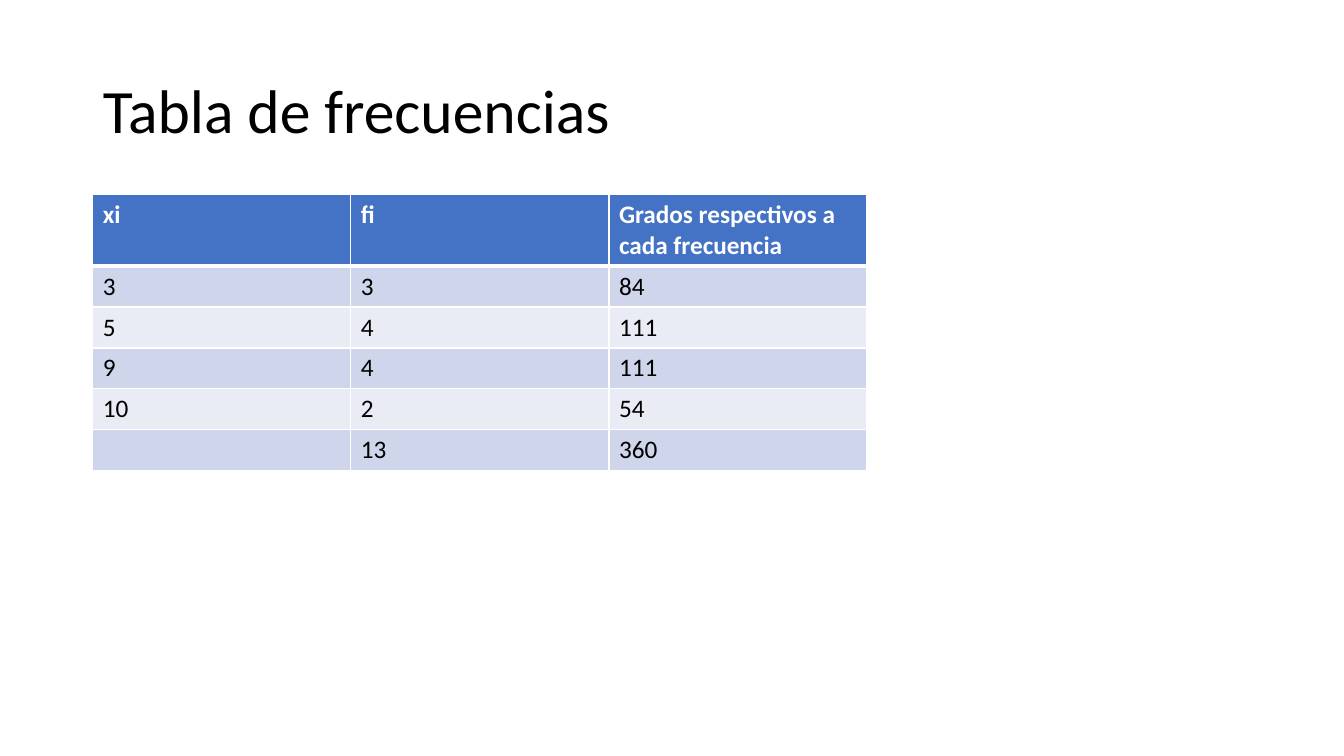
import pptx
import pptx.dml.color
import pptx.enum.text
import pptx.oxml
import pptx.oxml.ns
import pptx.util

Inches = pptx.util.Inches
Pt = pptx.util.Pt
RGBColor = pptx.dml.color.RGBColor

BLACK = RGBColor(0x00, 0x00, 0x00)
WHITE = RGBColor(0xFF, 0xFF, 0xFF)
HEADER_BLUE = RGBColor(0x44, 0x72, 0xC4)
BAND_DARK = RGBColor(0xCF, 0xD5, 0xEA)
BAND_LIGHT = RGBColor(0xE9, 0xEB, 0xF5)


class SlideBuilder:
    """Holds the text style and the current slide."""

    font_name = "Calibri"

    def __init__(self, slide):
        self.slide = slide

    def add_text(self, paragraph, text, size, color, bold=False):
        run = paragraph.add_run()
        run.text = text
        font_format = {"name": self.font_name, "size": Pt(size), "bold": bold}
        for name, value in font_format.items():
            setattr(run.font, name, value)
        run.font.color.rgb = color

    def title(self, text, left, top, width, height):
        shape = self.slide.shapes.title
        box = {"left": left, "top": top, "width": width, "height": height}
        for name, value in box.items():
            setattr(shape, name, Inches(value))
        frame = shape.text_frame
        frame.word_wrap = True
        frame.vertical_anchor = pptx.enum.text.MSO_ANCHOR.MIDDLE
        paragraph = frame.paragraphs[0]
        paragraph.alignment = pptx.enum.text.PP_ALIGN.LEFT
        paragraph.line_spacing = 0.9
        self.add_text(paragraph, text, 44, BLACK)

    def borders(self, cell, widths):
        properties = cell._tc.get_or_add_tcPr()
        namespace = pptx.oxml.ns.nsdecls("a")
        for index, (side, width) in enumerate(widths.items()):
            line = pptx.oxml.parse_xml(
                f'<a:ln{side} {namespace} w="{Pt(width)}"><a:solidFill>'
                f'<a:srgbClr val="{WHITE}"/></a:solidFill></a:ln{side}>')
            properties.insert(index, line)

    def table(self, rows, left, top, column_width, header_height, row_height):
        columns = len(rows[0])
        height = header_height + row_height * (len(rows) - 1)
        table = self.slide.shapes.add_table(
            len(rows), columns, Inches(left), Inches(top),
            Inches(column_width * columns), Inches(height)).table
        for column in table.columns:
            column.width = Inches(column_width)
        for row_index, values in enumerate(rows):
            header = row_index == 0
            table.rows[row_index].height = Inches(header_height if header else row_height)
            band = BAND_DARK if row_index % 2 else BAND_LIGHT
            for column_index, value in enumerate(values):
                cell = table.cell(row_index, column_index)
                cell.fill.solid()
                cell.fill.fore_color.rgb = HEADER_BLUE if header else band
                self.borders(cell, {"L": 1, "R": 1, "T": 3 if row_index == 1 else 1,
                                    "B": 3 if header else 1})
                if value:
                    self.add_text(cell.text_frame.paragraphs[0], value, 18,
                                  WHITE if header else BLACK, bold=header)


presentation = pptx.Presentation()
presentation.slide_width = Inches(13.33)
presentation.slide_height = Inches(7.5)
title_only = presentation.slide_layouts[5]
builder = SlideBuilder(presentation.slides.add_slide(title_only))

# Title
builder.title("Tabla de frecuencias", 0.92, 0.4, 11.5, 1.45)

# Frequency table, with the totals in the last row
frequencies = [
    ("xi", "fi", "Grados respectivos a cada frecuencia"),
    ("3", "3", "84"),
    ("5", "4", "111"),
    ("9", "4", "111"),
    ("10", "2", "54"),
    ("", "13", "360"),
]
builder.table(frequencies, left=0.92, top=1.93, column_width=2.56,
              header_height=0.7, row_height=0.4)

presentation.save("out.pptx")
